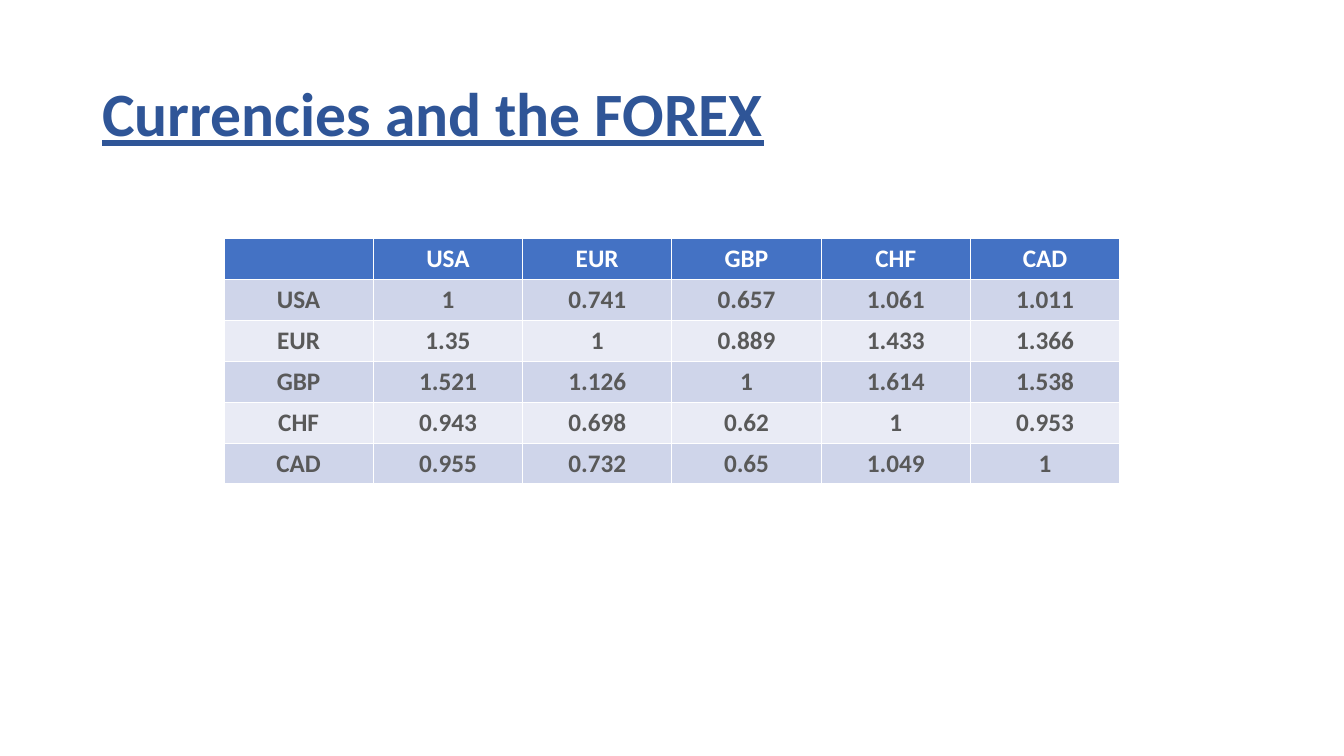
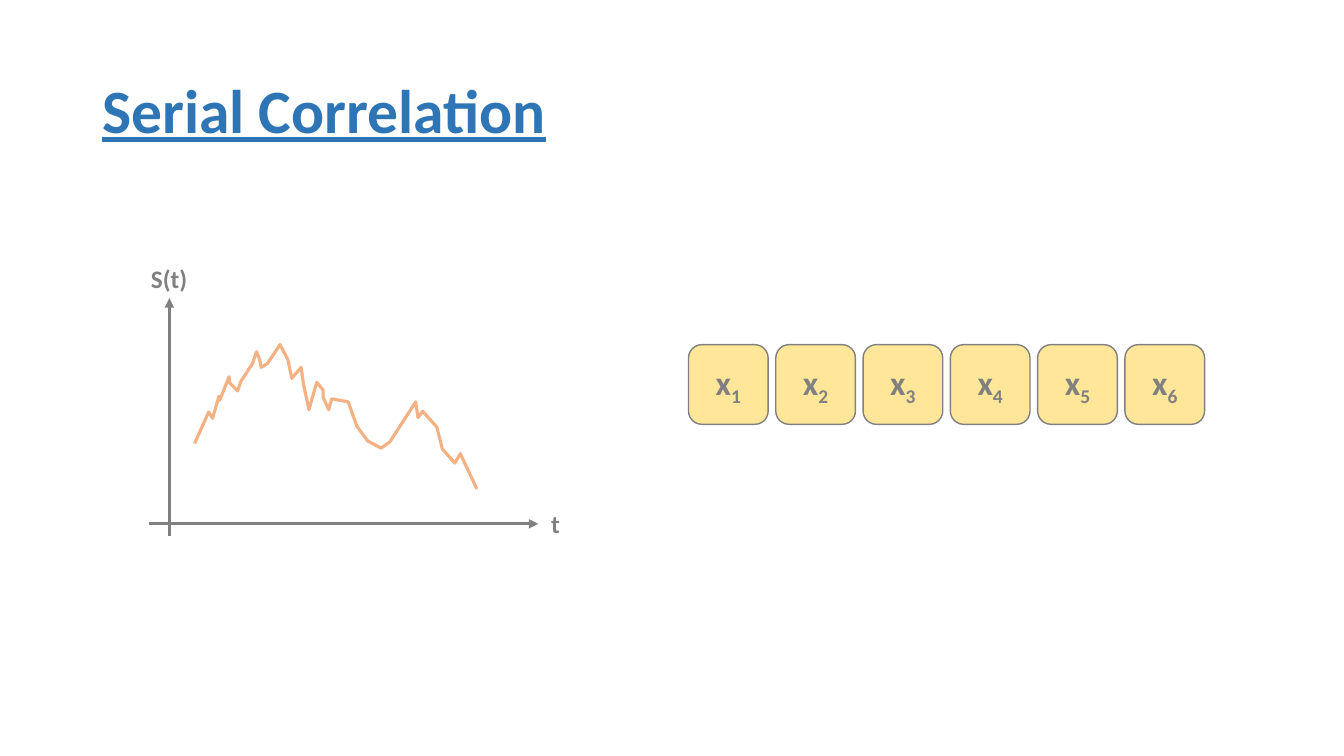
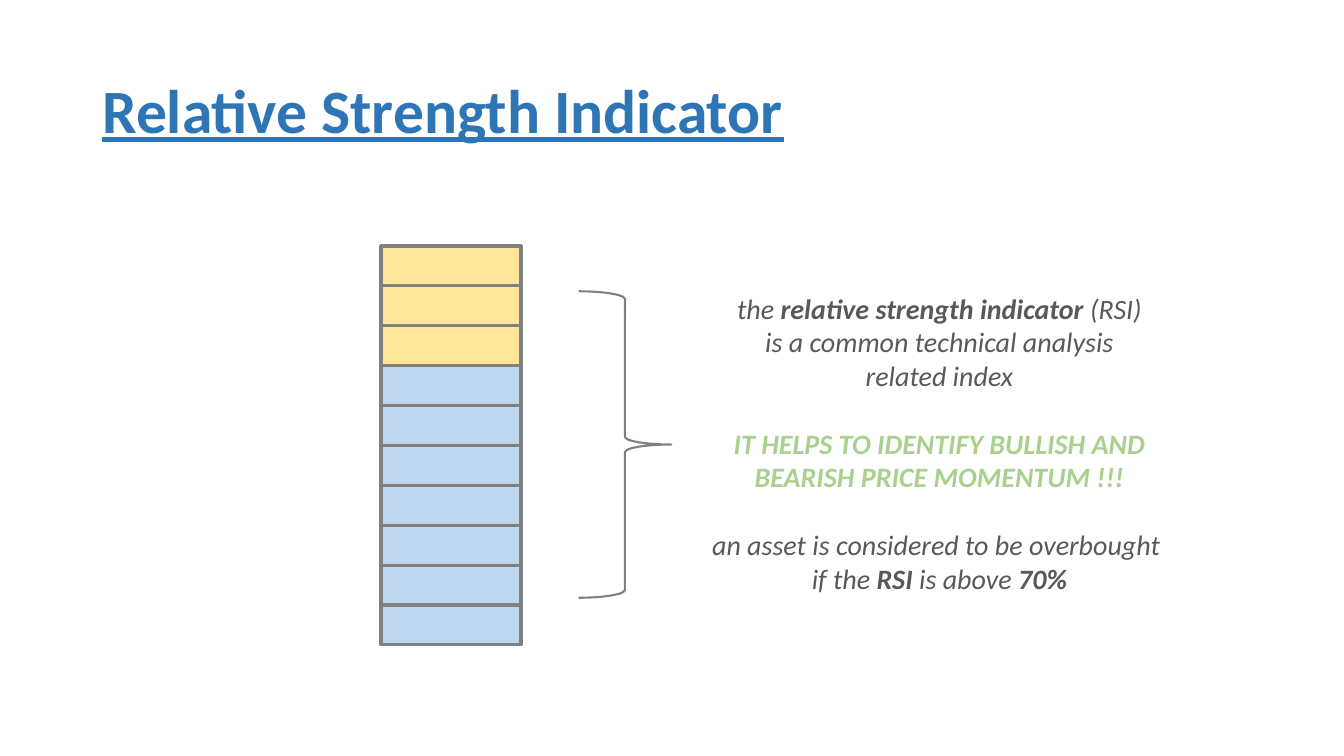
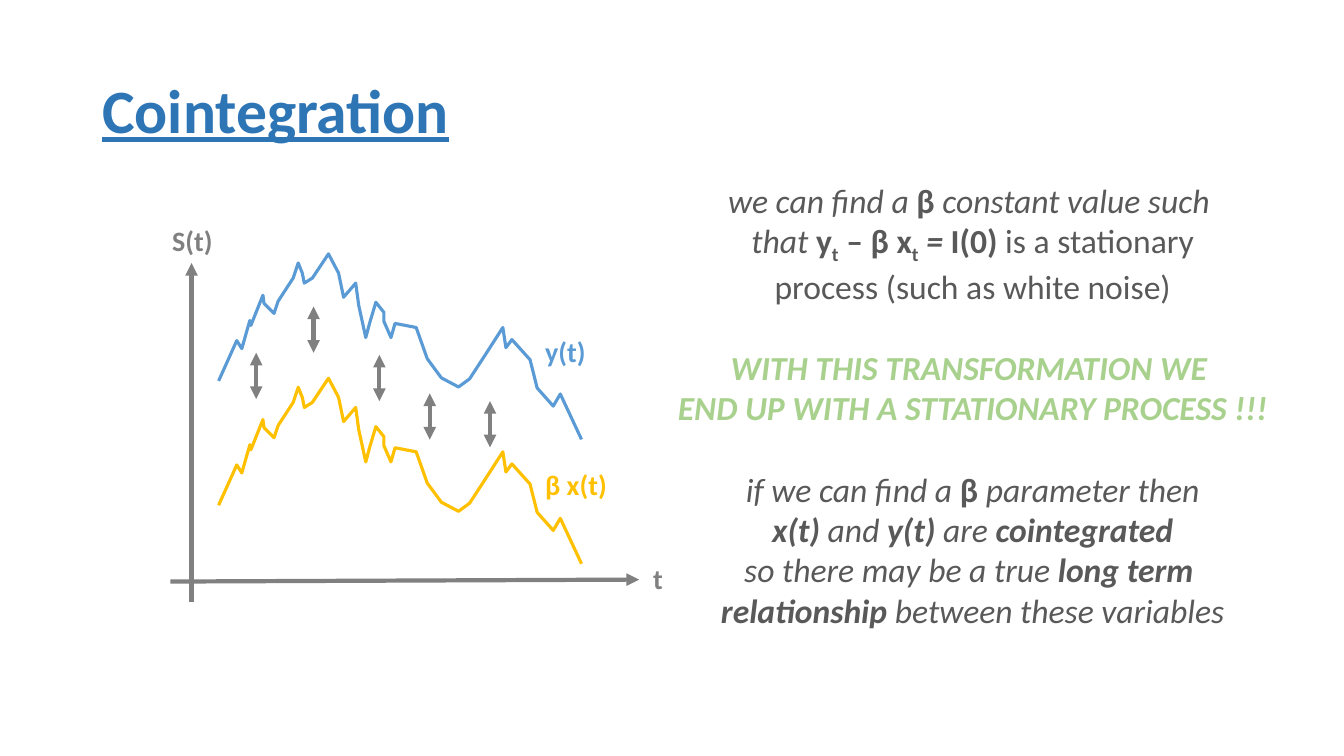
"""Build four slides on currencies, serial correlation, RSI and cointegration."""
from dataclasses import dataclass

import lxml.etree
import pptx
import pptx.dml.color
import pptx.enum.shapes
import pptx.enum.text
import pptx.oxml.ns
import pptx.presentation
import pptx.shapes.autoshape
import pptx.shapes.connector
import pptx.slide
import pptx.text.text
import pptx.util

Pt = pptx.util.Pt
SHAPES = pptx.enum.shapes.MSO_SHAPE
ALIGN = pptx.enum.text.PP_ALIGN
ANCHOR = pptx.enum.text.MSO_ANCHOR
FONT = "Calibri"
COLOURS = {
    "navy": "2F5597",
    "title": "2E75B6",
    "header": "4472C4",
    "band_dark": "CFD5EA",
    "band_light": "E9EBF5",
    "white": "FFFFFF",
    "text": "595959",
    "grey": "808080",
    "green": "A9D18E",
    "orange": "F4B183",
    "cream": "FFE699",
    "sky": "BDD7EE",
    "blue": "5B9BD5",
    "gold": "FFC000",
}
RATES = [
    ["", "USA", "EUR", "GBP", "CHF", "CAD"],
    ["USA", "1", "0.741", "0.657", "1.061", "1.011"],
    ["EUR", "1.35", "1", "0.889", "1.433", "1.366"],
    ["GBP", "1.521", "1.126", "1", "1.614", "1.538"],
    ["CHF", "0.943", "0.698", "0.62", "1", "0.953"],
    ["CAD", "0.955", "0.732", "0.65", "1.049", "1"],
]
PRICES = [
    (0, 126), (18, 86), (23, 94), (31, 66), (32, 71), (44, 41), (45, 49), (55, 59),
    (59, 47), (74, 24), (79, 9), (83, 19), (85, 29), (93, 24), (109, 0), (119, 19),
    (124, 43), (136, 29), (139, 51), (146, 83), (150, 68), (156, 48), (164, 58),
    (164, 67), (171, 83), (175, 69), (196, 73), (207, 104), (221, 123), (238, 132),
    (249, 124), (264, 101), (282, 73), (285, 93), (291, 85), (309, 105), (316, 133),
    (332, 151), (339, 139), (360, 184),
]


@dataclass(frozen=True)
class Span:
    """A run of text with one style."""

    text: str
    bold: bool = False
    italic: bool = True
    colour: str = "text"
    subscript: bool = False
    underline: bool = False


@dataclass(frozen=True)
class Line:
    """A paragraph of spans, optionally set off by an empty line's height."""

    spans: list[Span]
    gap: bool = False


@dataclass(frozen=True)
class Box:
    """A rectangle in points."""

    left: float
    top: float
    width: float
    height: float

    def lengths(self) -> list[pptx.util.Length]:
        """Return the four lengths."""
        return [Pt(value) for value in (self.left, self.top, self.width, self.height)]


@dataclass(frozen=True)
class Arrow:
    """A straight arrow in points."""

    start: tuple[float, float]
    end: tuple[float, float]
    width: float = 3
    double: bool = False


def colour_of(name: str) -> pptx.dml.color.RGBColor:
    """Return the named colour."""
    return pptx.dml.color.RGBColor.from_string(COLOURS[name])


def strong(text: str, colour: str = "text", subscript: bool = False) -> Span:
    """Return an upright bold span."""
    return Span(text, bold=True, italic=False, colour=colour, subscript=subscript)


def add_spans(paragraph: pptx.text.text._Paragraph, spans: list[Span], size: float) -> None:
    """Add spans to a paragraph as runs."""
    for span in spans:
        run = paragraph.add_run()
        run.text = span.text
        run.font.name = FONT
        run.font.size = Pt(size)
        run.font.bold = span.bold
        run.font.italic = span.italic
        run.font.underline = span.underline
        run.font.color.rgb = colour_of(span.colour)
        if span.subscript:
            run._r.get_or_add_rPr().set("baseline", "-25000")


def add_text(slide: pptx.slide.Slide, box: Box, lines: list[Line], size: float,
             align: ALIGN = ALIGN.LEFT) -> pptx.text.text.TextFrame:
    """Add a text box that does not wrap."""
    frame = slide.shapes.add_textbox(*box.lengths()).text_frame
    frame.word_wrap = False
    for index, line in enumerate(lines):
        paragraph = frame.add_paragraph() if index else frame.paragraphs[0]
        paragraph.alignment = align
        if line.gap:
            paragraph.space_before = Pt(round(size * 1.22, 1))
        add_spans(paragraph, line.spans, size)
    return frame


def add_label(slide: pptx.slide.Slide, text: str, box: Box, size: float,
              colour: str = "grey") -> None:
    """Add a short bold label."""
    add_text(slide, box, [Line([strong(text, colour)])], size)


def add_titled_slide(presentation: pptx.presentation.Presentation, title: str,
                     colour: str = "title", top: float = 28.8) -> pptx.slide.Slide:
    """Add a blank slide with an underlined title."""
    slide = presentation.slides.add_slide(presentation.slide_layouts[6])
    span = Span(title, bold=True, italic=False, colour=colour, underline=True)
    frame = add_text(slide, Box(66, top, 828, 104.4), [Line([span])], 44)
    frame.word_wrap = True
    frame.vertical_anchor = ANCHOR.MIDDLE
    frame.paragraphs[0].line_spacing = 0.9
    return slide


def style_shape(shape: pptx.shapes.autoshape.Shape, line: str, width: float,
                fill: str = "") -> None:
    """Set outline and fill, and remove the shadow."""
    shape.shadow.inherit = False
    shape.line.color.rgb = colour_of(line)
    shape.line.width = Pt(width)
    if fill:
        shape.fill.solid()
        shape.fill.fore_color.rgb = colour_of(fill)
    else:
        shape.fill.background()


def add_shape(slide: pptx.slide.Slide, kind: SHAPES, box: Box, width: float,
              fill: str = "") -> pptx.shapes.autoshape.Shape:
    """Add a preset shape with a grey outline."""
    shape = slide.shapes.add_shape(kind, *box.lengths())
    style_shape(shape, "grey", width, fill)
    return shape


def add_arrow(slide: pptx.slide.Slide, arrow: Arrow) -> None:
    """Add a grey arrow."""
    connector = slide.shapes.add_connector(
        pptx.enum.shapes.MSO_CONNECTOR.STRAIGHT,
        *[Pt(value) for value in arrow.start + arrow.end])
    connector.line.color.rgb = colour_of("grey")
    connector.line.width = Pt(arrow.width)
    properties = connector._element.spPr
    outline = properties.get_or_add_ln()
    for tag in ["a:headEnd", "a:tailEnd"] if arrow.double else ["a:tailEnd"]:
        lxml.etree.SubElement(outline, pptx.oxml.ns.qn(tag), type="triangle")
    lxml.etree.SubElement(properties, pptx.oxml.ns.qn("a:effectLst"))


def add_price_curve(slide: pptx.slide.Slide, left: float, top: float, unit: float,
                    colour: str) -> None:
    """Draw the price series at a given scale."""
    builder = slide.shapes.build_freeform(*PRICES[0], scale=Pt(unit))
    builder.add_line_segments(PRICES[1:], close=False)
    style_shape(builder.convert_to_shape(Pt(left), Pt(top)), colour, 2.25)


def build_currencies(presentation: pptx.presentation.Presentation) -> None:
    """Build the exchange rate table."""
    slide = add_titled_slide(presentation, "Currencies and the FOREX", "navy", 31)
    box = Box(160, 170.6, 640, 175.2)
    table = slide.shapes.add_table(len(RATES), len(RATES[0]), *box.lengths()).table
    for row, values in enumerate(RATES):
        band = "band_dark" if row % 2 else "band_light"
        for column, value in enumerate(values):
            cell = table.cell(row, column)
            cell.fill.solid()
            cell.fill.fore_color.rgb = colour_of(band if row else "header")
            if value:
                paragraph = cell.text_frame.paragraphs[0]
                paragraph.alignment = ALIGN.CENTER
                add_spans(paragraph, [strong(value, "text" if row else "white")], 18)


def build_serial_correlation(presentation: pptx.presentation.Presentation) -> None:
    """Build the price chart and the row of lagged values."""
    slide = add_titled_slide(presentation, "Serial Correlation")
    add_arrow(slide, Arrow((121, 383), (121, 213), 2.25))
    add_arrow(slide, Arrow((106.6, 374.2), (384.5, 374.2), 2.25))
    add_label(slide, "S(t)", Box(100.8, 184.3, 41, 29), 18)
    add_label(slide, "t", Box(386.6, 359.5, 21, 29), 18)
    add_price_curve(slide, 139, 246.2, 0.56, "orange")
    for index in range(6):
        box = Box(491.8 + 62.35 * index, 246.2, 56.9, 56.9)
        tile = add_shape(slide, SHAPES.ROUNDED_RECTANGLE, box, 1, "cream")
        tile.text_frame.vertical_anchor = ANCHOR.MIDDLE
        paragraph = tile.text_frame.paragraphs[0]
        paragraph.alignment = ALIGN.CENTER
        add_spans(paragraph, [strong("x", "grey"), strong(str(index + 1), "grey", True)], 24)


def build_relative_strength(presentation: pptx.presentation.Presentation) -> None:
    """Build the RSI stack and its explanation."""
    slide = add_titled_slide(presentation, "Relative Strength Indicator")
    for index in range(10):
        box = Box(272.2, 175.7 + 28.5 * index, 100, 28.5)
        add_shape(slide, SHAPES.RECTANGLE, box, 2.25, "cream" if index < 3 else "sky")
    add_shape(slide, SHAPES.RIGHT_BRACE, Box(413.3, 208.1, 66.2, 218.9), 1.5)
    lines = [
        Line([Span("the "), Span("relative strength indicator ", True), Span("(RSI)")]),
        Line([Span("is a common technical analysis")]),
        Line([Span("related index")]),
        Line([Span("IT HELPS TO IDENTIFY BULLISH AND", True, colour="green")], gap=True),
        Line([Span("BEARISH PRICE MOMENTUM !!!", True, colour="green")]),
        Line([Span("an asset is considered to be overbought ")], gap=True),
        Line([Span("if the "), Span("RSI", True), Span(" is above "), Span("70%", True)]),
    ]
    add_text(slide, Box(500.4, 204.5, 341.3, 225.4), lines, 20, ALIGN.CENTER)


def build_cointegration(presentation: pptx.presentation.Presentation) -> None:
    """Build the two parallel price curves and their explanation."""
    slide = add_titled_slide(presentation, "Cointegration")
    add_arrow(slide, Arrow((136.8, 429.8), (136.8, 187.9)))
    add_arrow(slide, Arrow((121.7, 415.4), (456.5, 414)))
    add_label(slide, "S(t)", Box(115.9, 156.2, 44, 31.7), 20)
    add_label(slide, "t", Box(459.4, 397.4, 21.6, 31.7), 20)
    add_label(slide, "y(t)", Box(382.3, 235.4, 44, 31.7), 20, "blue")
    add_label(slide, "β x(t)", Box(382.3, 330.5, 59, 31.7), 20, "gold")
    add_price_curve(slide, 156.2, 181.4, 0.72, "blue")
    add_price_curve(slide, 156.2, 270.2, 0.72, "gold")
    for x, top in [(183, 252), (224, 219), (271, 253.5), (307, 281), (350, 286.5)]:
        add_arrow(slide, Arrow((x, top + 33), (x, top), double=True))
    lines = [
        Line([Span("we can find a "), strong("β"), Span(" constant value such ")]),
        Line([Span("that "), strong("y"), strong("t", subscript=True), strong(" – β x"),
              strong("t", subscript=True), Span(" = ", True), strong("I(0) "),
              Span("is a stationary", italic=False)]),
        Line([Span("process (such as white noise)", italic=False)]),
        Line([Span("WITH THIS TRANSFORMATION WE ", True, colour="green")], gap=True),
        Line([Span("END UP WITH A STTATIONARY PROCESS !!!", True, colour="green")]),
        Line([Span("if we can find a "), strong("β "), Span("parameter then")], gap=True),
        Line([Span("x(t)", True), Span(" and "), Span("y(t)", True), Span(" are "),
              Span("cointegrated", True)]),
        Line([Span("so there may be a true "), Span("long term ", True)]),
        Line([Span("relationship", True), Span(" between these variables")]),
    ]
    add_text(slide, Box(475.2, 124.6, 439.2, 356.4), lines, 24, ALIGN.CENTER)


def main() -> None:
    """Build and save the presentation."""
    presentation = pptx.Presentation()
    presentation.slide_width = Pt(960)
    presentation.slide_height = Pt(540)
    build_currencies(presentation)
    build_serial_correlation(presentation)
    build_relative_strength(presentation)
    build_cointegration(presentation)
    presentation.save("out.pptx")


if __name__ == "__main__":
    main()
